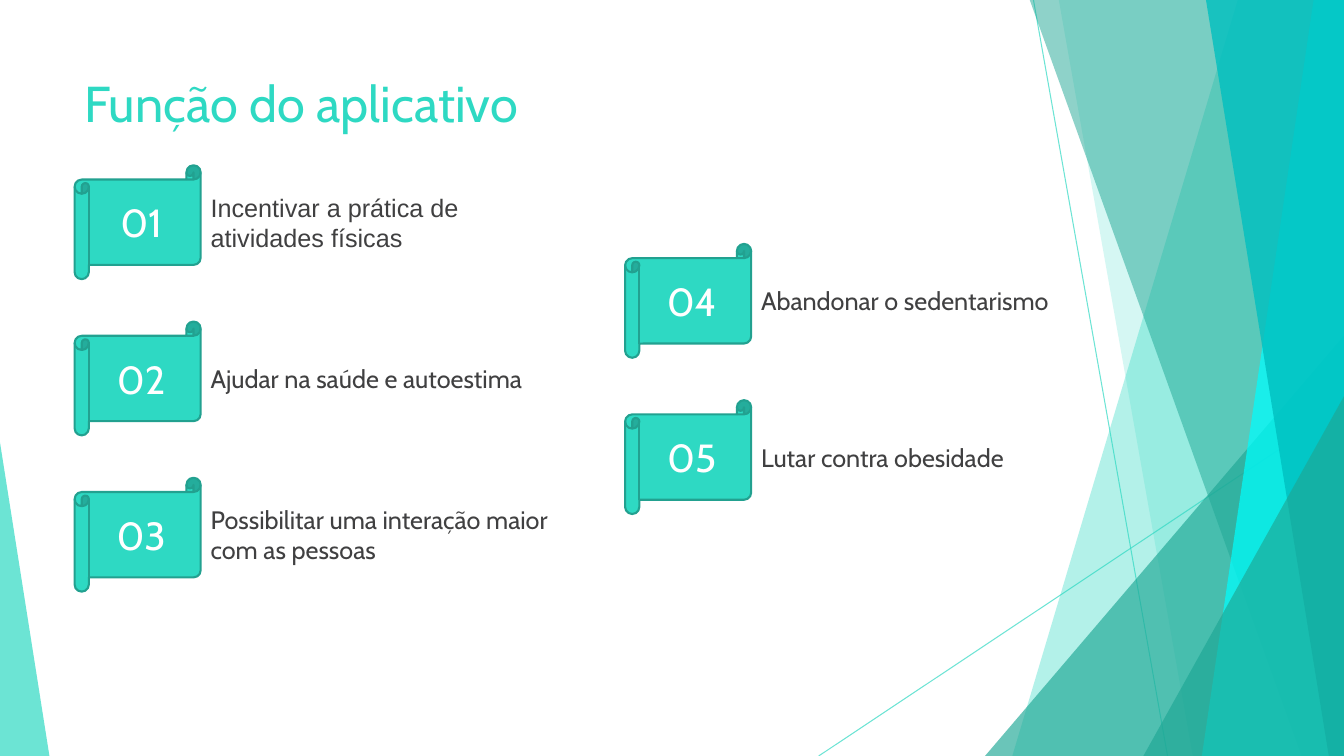
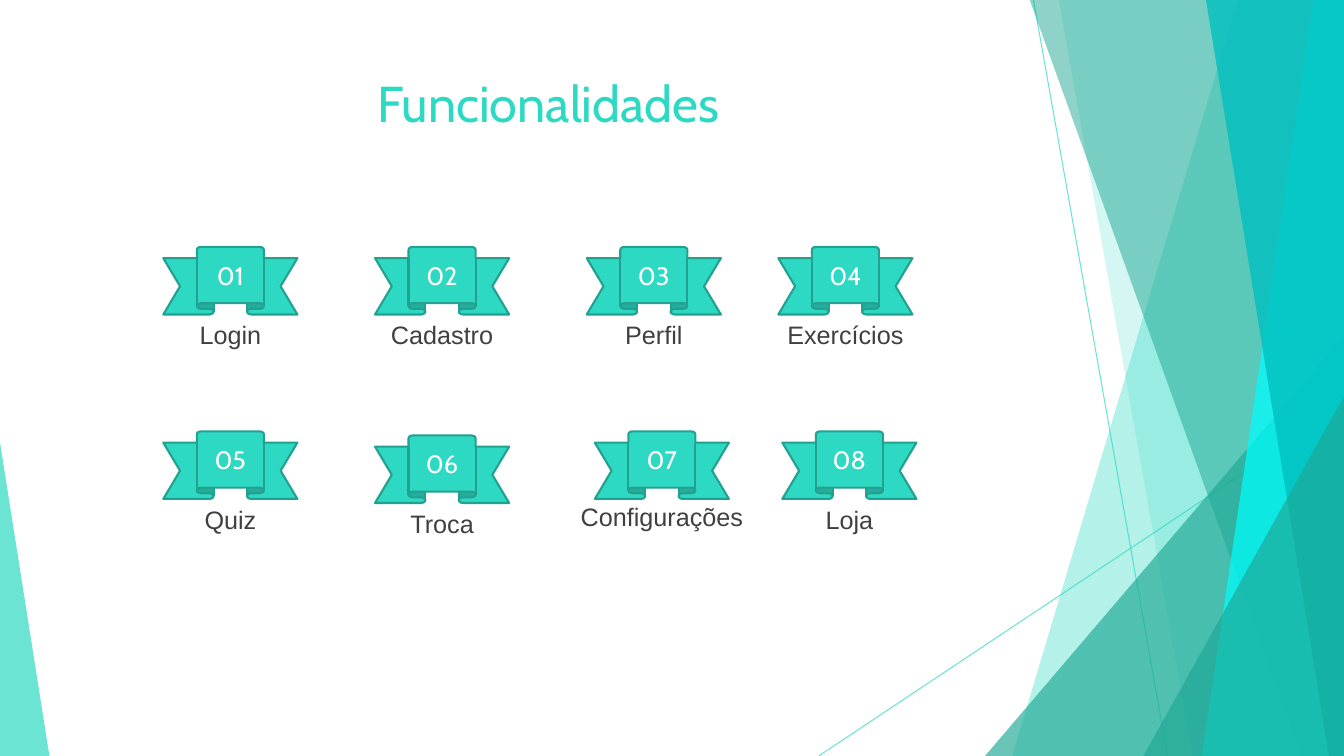
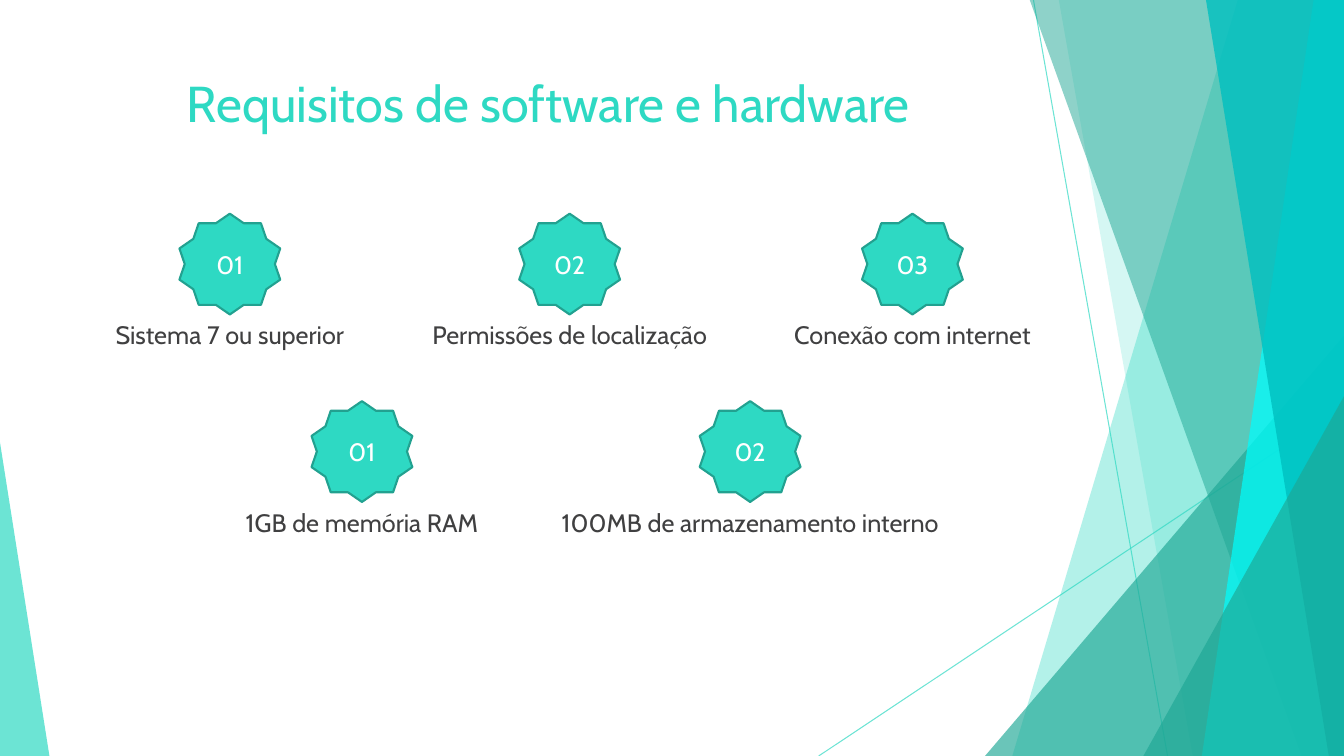
from lxml.etree import SubElement
from pptx import Presentation
from pptx.dml.color import RGBColor
from pptx.enum.shapes import MSO_CONNECTOR, MSO_SHAPE
from pptx.enum.text import MSO_ANCHOR, PP_ALIGN
from pptx.oxml.ns import qn
from pptx.util import Inches, Pt

COLORS = {
    "teal": "2ED9C3",
    "deep": "1EA795",
    "outline": "22A190",
    "cyan": "00FFFF",
    "lagoon": "00BFBF",
    "text": "404041",
    "white": "FFFFFF",
}
WIDTH, HEIGHT = 13.33, 7.5
BAND_TOP = -0.01
SCROLL = (1.25, 1.13)
RIBBON = (1.33, 0.67)
STAR = (1, 1)
LINE_HEIGHT, LABEL_PADDING = 0.3, 0.1


def rgb(name):
    """Return the named colour."""
    return RGBColor.from_string(COLORS[name])


def set_alpha(shape, percent):
    """Make the colour of a shape partly transparent."""
    for color in shape.element.spPr.iter(qn("a:srgbClr")):
        SubElement(color, qn("a:alpha"), val=str(percent * 1000))


def write_text(frame, text, size=18, font="Cabin", color="text",
               align=PP_ALIGN.LEFT, anchor=MSO_ANCHOR.TOP, wrap=True):
    """Fill a text frame, one paragraph for each line of text."""
    frame.word_wrap = wrap
    frame.vertical_anchor = anchor
    for index, line in enumerate(text.split("\n")):
        paragraph = frame.add_paragraph() if index else frame.paragraphs[0]
        paragraph.alignment = align
        run = paragraph.add_run()
        run.text = line
        run.font.size = Pt(size)
        run.font.name = font
        run.font.color.rgb = rgb(color)


def add_text(slide, text, left, top, width, height, **text_format):
    """Add a text box with formatted text."""
    box = slide.shapes.add_textbox(Inches(left), Inches(top), Inches(width), Inches(height))
    write_text(box.text_frame, text, **text_format)


def add_title(slide, text, align=PP_ALIGN.CENTER):
    """Add the slide title."""
    add_text(slide, text, 0.74, 0.67, 9.4, 0.72, size=36, color="teal", align=align)


def paint_glass(shape, color, alpha):
    """Give a shape a transparent fill without outline."""
    shape.shadow.inherit = False
    shape.fill.solid()
    shape.fill.fore_color.rgb = rgb(color)
    shape.line.fill.background()
    set_alpha(shape, alpha)


def add_band(slide, top_x, bottom_x, color, alpha):
    """Add a slanted band reaching the right edge of the slide."""
    corners = [(WIDTH, BAND_TOP), (WIDTH, HEIGHT), (bottom_x, HEIGHT)]
    builder = slide.shapes.build_freeform(Inches(top_x), Inches(BAND_TOP))
    builder.add_line_segments([(Inches(x), Inches(y)) for x, y in corners])
    paint_glass(builder.convert_to_shape(), color, alpha)


def add_wedge(slide, left, top, width, apex, color, alpha):
    """Add a triangle standing on the bottom edge of the slide."""
    shape = slide.shapes.add_shape(
        MSO_SHAPE.ISOSCELES_TRIANGLE, Inches(left), Inches(top),
        Inches(width), Inches(HEIGHT - top))
    shape.adjustments[0] = apex
    paint_glass(shape, color, alpha)


def add_thin_line(slide, start, end):
    """Add a thin transparent line."""
    connector = slide.shapes.add_connector(
        MSO_CONNECTOR.STRAIGHT, *(Inches(value) for value in (*start, *end)))
    connector.line.color.rgb = rgb("teal")
    connector.line.width = Pt(0.75)
    set_alpha(connector, 70)
    SubElement(connector.element.spPr, qn("a:effectLst"))


def decorate_layout(layout, slide):
    """Draw the shared backdrop and move it to the layout."""
    for placeholder in list(layout.placeholders):
        layout.shapes.element.remove(placeholder.element)
    add_thin_line(slide, (10.25, 0), (11.58, HEIGHT))
    add_thin_line(slide, (WIDTH, 4.03), (8.12, HEIGHT))
    add_band(slide, 12.28, 10.04, "teal", 36)
    add_band(slide, 10.5, 11.83, "teal", 20)
    add_wedge(slide, 9.77, 3.33, 3.56, 1, "deep", 66)
    add_band(slide, 10.21, 12.91, "deep", 50)
    add_band(slide, 13.03, 11.92, "cyan", 70)
    add_band(slide, 11.96, 13.18, "lagoon", 80)
    add_wedge(slide, 11.34, 3.93, 1.99, 1, "deep", 66)
    add_wedge(slide, 0, 4.39, 0.49, 0, "teal", 70)
    for shape in list(slide.shapes):
        layout.shapes.element.append(shape.element)


def add_badge(slide, kind, number, left, top, size, font_size=18):
    """Add a numbered badge."""
    shape = slide.shapes.add_shape(
        kind, Inches(left), Inches(top), Inches(size[0]), Inches(size[1]))
    shape.shadow.inherit = False
    shape.fill.solid()
    shape.fill.fore_color.rgb = rgb("teal")
    shape.line.color.rgb = rgb("outline")
    shape.line.width = Pt(1.5)
    write_text(shape.text_frame, f"{number:02}", size=font_size, color="white",
               align=PP_ALIGN.CENTER, anchor=MSO_ANCHOR.MIDDLE)


def add_scroll_item(slide, number, text, left, top, label_width, font="Cabin"):
    """Add a scroll badge with its label to the right."""
    add_badge(slide, MSO_SHAPE.HORIZONTAL_SCROLL, number, left, top, SCROLL, 28)
    height = LABEL_PADDING + LINE_HEIGHT * len(text.split("\n"))
    add_text(slide, text, left + SCROLL[0], top + (SCROLL[1] - height) / 2,
             label_width, height, font=font, wrap=False)


def add_captioned_badge(slide, kind, size, number, text, left, top, label_width,
                        font="Cabin", lift=0):
    """Add a badge with its label centred below."""
    add_badge(slide, kind, number, left, top, size)
    add_text(slide, text, left + (size[0] - label_width) / 2, top + size[1] - lift,
             label_width, LABEL_PADDING + LINE_HEIGHT,
             font=font, align=PP_ALIGN.CENTER, wrap=False)


def build_purpose(slide):
    """Build the slide on the purpose of the app."""
    add_title(slide, "Função do aplicativo", PP_ALIGN.LEFT)
    columns = [
        (0.74, 1.64, [
            ("Incentivar a prática de\natividades físicas", 2.75, "Arial"),
            ("Ajudar na saúde e autoestima", 3.58, "Cabin"),
            ("Possibilitar uma interação maior\ncom as pessoas", 3.93, "Cabin"),
        ]),
        (6.2, 2.42, [
            ("Abandonar o sedentarismo", 3.2, "Cabin"),
            ("Lutar contra obesidade", 2.82, "Cabin"),
        ]),
    ]
    number = 0
    for left, top, items in columns:
        for row, (text, label_width, font) in enumerate(items):
            number += 1
            add_scroll_item(slide, number, text, left, top + 1.55 * row, label_width, font)


def build_features(slide):
    """Build the slide on the features."""
    add_title(slide, "Funcionalidades")
    features = [
        ("Login", 1.62, 2.45, 0.82, 0),
        ("Cadastro", 3.72, 2.45, 1.23, 0),
        ("Perfil", 5.82, 2.45, 0.78, 0),
        ("Exercícios", 7.72, 2.45, 1.37, 0),
        ("Quiz", 1.62, 4.28, 0.72, 0),
        ("Troca", 3.72, 4.32, 0.84, 0),
        ("Configurações", 5.9, 4.28, 1.83, 0.03),
        ("Loja", 7.76, 4.28, 0.68, 0),
    ]
    for number, (text, left, top, label_width, lift) in enumerate(features, 1):
        add_captioned_badge(slide, MSO_SHAPE.UP_RIBBON, RIBBON, number, text,
                            left, top, label_width, font="Arial", lift=lift)


def build_requirements(slide):
    """Build the slide on software and hardware requirements."""
    add_title(slide, "Requisitos de software e hardware")
    software = [
        ("Sistema 7 ou superior", 1.78, 2.63),
        ("Permissões de localização", 5.15, 3.11),
        ("Conexão com internet", 8.55, 2.7),
    ]
    hardware = [
        ("1GB de memória RAM", 3.09, 2.62),
        ("100MB de armazenamento interno", 6.94, 4.07),
    ]
    for top, items in ((2.12, software), (3.98, hardware)):
        for number, (text, left, label_width) in enumerate(items, 1):
            add_captioned_badge(slide, MSO_SHAPE.STAR_10_POINT, STAR, number, text,
                                left, top, label_width)


def main():
    """Build and save the presentation."""
    presentation = Presentation()
    presentation.slide_width = Inches(WIDTH)
    presentation.slide_height = Inches(HEIGHT)
    layout = presentation.slide_layouts[6]
    builders = (build_purpose, build_features, build_requirements)
    slides = [presentation.slides.add_slide(layout) for _ in builders]
    decorate_layout(layout, slides[0])
    for build, slide in zip(builders, slides):
        build(slide)
    presentation.save("out.pptx")


if __name__ == "__main__":
    main()
